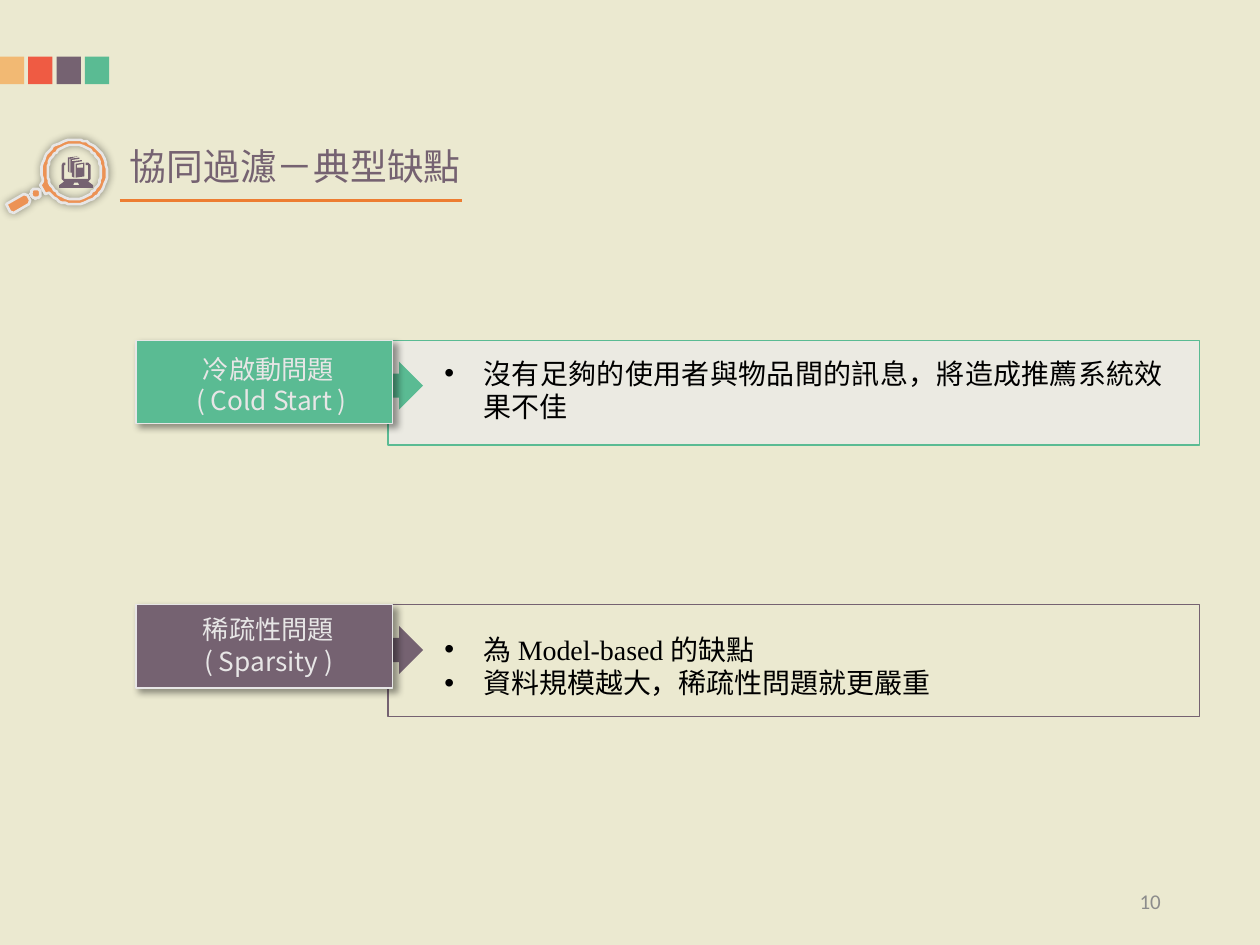
"""Build the slide on the typical drawbacks of collaborative filtering."""
import math

import lxml.etree
import pptx
import pptx.dml.color
import pptx.enum.shapes
import pptx.enum.text
import pptx.oxml.ns
import pptx.util

Cm = pptx.util.Cm
Pt = pptx.util.Pt
RGBColor = pptx.dml.color.RGBColor
SHAPE = pptx.enum.shapes.MSO_SHAPE
ALIGN = pptx.enum.text.PP_ALIGN
ANCHOR = pptx.enum.text.MSO_ANCHOR
qn = pptx.oxml.ns.qn

CREAM = RGBColor(0xEB, 0xE9, 0xD0)
PANEL_GREY = RGBColor(0xEB, 0xEA, 0xE2)
LIGHT_GREY = RGBColor(0xE7, 0xE6, 0xE6)
NUMBER_GREY = RGBColor(0x8C, 0x8C, 0x8C)
BLACK = RGBColor(0, 0, 0)
YELLOW = RGBColor(0xF2, 0xB9, 0x73)
RED = RGBColor(0xEF, 0x5B, 0x43)
PURPLE = RGBColor(0x75, 0x62, 0x71)
GREEN = RGBColor(0x5A, 0xBB, 0x93)
LENS_ORANGE = RGBColor(0xEC, 0x92, 0x55)
RULE_ORANGE = RGBColor(0xED, 0x7D, 0x31)

SERIF = "Times New Roman"
CJK = "Noto Sans CJK SC"
ICON_UNIT = Cm(0.0254)

LAPTOP = [
    [(51, 131), (52, 131), (52, 129), (50, 129), (49, 131), (49, 142), (51, 144),
     (47, 147), (47, 149), (74, 149), (74, 147), (70, 144), (72, 142), (72, 131),
     (70, 129), (68, 129), (68, 131), (70, 131), (70, 142), (51, 142)],
    [(59, 145), (62, 145), (63, 147), (58, 147)],
]
BOOKS = [
    [(54, 125), (62, 124), (55, 126), (55, 137), (54, 136)],
    [(56, 126), (63, 125), (63, 126), (57, 127), (57, 137), (56, 137)],
    [(57, 128), (65, 127), (65, 128), (59, 129), (59, 141), (57, 140)],
    [(60, 130), (67, 129), (67, 140), (60, 141)],
    [(61, 131), (66, 130), (66, 133), (61, 133)],
]


def arc(center_x, center_y, radius, start=0, end=360, steps=60):
    """Return points along a circular arc, in icon units."""
    angles = [math.radians(start + (end - start) * i / steps) for i in range(steps + 1)]
    return [(center_x + radius * math.cos(a), center_y + radius * math.sin(a)) for a in angles]


def paint(shape, fill=None, line=None, width=0.75):
    """Set the fill and outline of a shape and remove its shadow."""
    shape.shadow.inherit = False
    if fill is None:
        shape.fill.background()
    else:
        shape.fill.solid()
        shape.fill.fore_color.rgb = fill
    if line is None:
        shape.line.fill.background()
    else:
        shape.line.color.rgb = line
        shape.line.width = Pt(width)


def add_shadow(shape, blur, distance, degrees):
    """Give a painted shape a soft black outer shadow."""
    effects = shape._element.spPr.find(qn("a:effectLst"))
    shadow = lxml.etree.SubElement(
        effects, qn("a:outerShdw"), blurRad=str(Pt(blur)), dist=str(Pt(distance)),
        dir=str(degrees * 60000), algn="ctr", rotWithShape="0")
    color = lxml.etree.SubElement(shadow, qn("a:srgbClr"), val="000000")
    lxml.etree.SubElement(color, qn("a:alpha"), val="40000")


def add_block(slide, kind, left, top, width, height, **colors):
    """Add a painted preset shape."""
    shape = slide.shapes.add_shape(kind, Cm(left), Cm(top), Cm(width), Cm(height))
    paint(shape, **colors)
    return shape


def add_outline(slide, contours, **colors):
    """Add one freeform made of several closed contours."""
    builder = slide.shapes.build_freeform(*contours[0][0], scale=ICON_UNIT)
    builder.add_line_segments(contours[0][1:], close=True)
    for contour in contours[1:]:
        builder.move_to(*contour[0])
        builder.add_line_segments(contour[1:], close=True)
    shape = builder.convert_to_shape()
    paint(shape, **colors)
    return shape


def format_text(text_frame, size, color, font=SERIF, align=ALIGN.LEFT, bullets=False):
    """Format every paragraph and run of a text frame."""
    text_frame.word_wrap = True
    for paragraph in text_frame.paragraphs:
        paragraph.alignment = align
        if bullets:
            properties = paragraph._p.get_or_add_pPr()
            properties.set("marL", str(Cm(0.79)))
            properties.set("indent", str(-Cm(0.79)))
            lxml.etree.SubElement(properties, qn("a:buFont"), typeface="Arial")
            lxml.etree.SubElement(properties, qn("a:buChar"), char="•")
        for run in paragraph.runs:
            run.font.size = Pt(size)
            run.font.color.rgb = color
            run.font.name = font
            latin = run._r.rPr.find(qn("a:latin"))
            latin.addnext(latin.makeelement(qn("a:ea"), {"typeface": CJK}))


def add_text(slide, text, left, top, width, height, **formats):
    """Add a formatted text box."""
    box = slide.shapes.add_textbox(Cm(left), Cm(top), Cm(width), Cm(height))
    box.text_frame.text = text
    format_text(box.text_frame, **formats)
    return box


def add_title(slide, text):
    """Place the title and the rule below it."""
    title = slide.shapes.title
    title.left, title.top, title.width, title.height = Cm(2.62), Cm(2.9), Cm(8.99), Cm(0.89)
    frame = title.text_frame
    frame.text = text
    frame.margin_left = frame.margin_right = frame.margin_top = frame.margin_bottom = 0
    frame.vertical_anchor = ANCHOR.TOP
    format_text(frame, size=21, color=PURPLE)
    rule = slide.shapes.add_connector(
        pptx.enum.shapes.MSO_CONNECTOR.STRAIGHT, Cm(2.41), Cm(4.04), Cm(9.32), Cm(4.04))
    rule.line.color.rgb = RULE_ORANGE
    rule.line.width = Pt(1.5)
    lxml.etree.SubElement(rule._element.spPr, qn("a:effectLst"))


def add_magnifier(slide):
    """Draw the magnifier with a laptop and books in its lens."""
    lens = arc(59, 136.5, 26, 163, 500) + [(36, 154), (32, 147)]
    handle = [(5, 162), (19, 154), (22, 155), (24, 159), (23, 162), (11, 169), (8, 168)]
    magnifier = add_outline(
        slide, [handle, lens, arc(59, 136.5, 21.5), arc(28.5, 153.5, 4)],
        fill=LENS_ORANGE, line=LIGHT_GREY, width=1.5)
    add_shadow(magnifier, blur=5, distance=0, degrees=0)
    add_outline(slide, LAPTOP + BOOKS, fill=PURPLE)


def add_drawback(slide, top, color, label, label_offset, points, points_offset,
                 panel_height, panel_fill, align):
    """Add a labelled panel that lists the points of one drawback."""
    add_block(slide, SHAPE.RECTANGLE, 7.82, top, 16.36, panel_height,
              fill=panel_fill, line=color)
    add_text(slide, points, 8.71, top + points_offset, 15.01, 1.63,
             size=16, color=BLACK, align=align, bullets=True)
    add_block(slide, SHAPE.RIGHT_ARROW, 7.34, top + 0.43, 1.19, 0.97, fill=color)
    plate = add_block(slide, SHAPE.RECTANGLE, 2.74, top, 5.18, 1.68,
                      fill=color, line=LIGHT_GREY)
    add_shadow(plate, blur=4, distance=3, degrees=45)
    add_text(slide, label, 2.95, top + label_offset, 4.93, 1.55,
             size=15, color=LIGHT_GREY, font=CJK, align=ALIGN.CENTER)


def main():
    """Build and save the slide."""
    presentation = pptx.Presentation()
    presentation.slide_width, presentation.slide_height = Cm(25.4), Cm(19.05)
    slide = presentation.slides.add_slide(presentation.slide_layouts[5])
    slide.background.fill.solid()
    slide.background.fill.fore_color.rgb = CREAM

    for index, color in enumerate((YELLOW, RED, PURPLE, GREEN)):
        add_block(slide, SHAPE.RECTANGLE, index * 0.57, 1.14, 0.49, 0.56, fill=color)
    number = add_text(slide, "10", 17.93, 17.65, 5.72, 1.02, size=12,
                      color=NUMBER_GREY, font="Calibri", align=ALIGN.RIGHT)
    number.text_frame.vertical_anchor = ANCHOR.MIDDLE
    add_magnifier(slide)
    add_title(slide, "協同過濾－典型缺點")
    add_drawback(slide, 6.86, GREEN, "冷啟動問題\n ( Cold Start )", 0.13,
                 "沒有足夠的使用者與物品間的訊息，將造成推薦系統效果不佳", 0.2,
                 2.11, PANEL_GREY, ALIGN.JUSTIFY)
    add_drawback(slide, 12.19, PURPLE, "稀疏性問題 ( Sparsity )", 0.05,
                 "為 Model-based 的缺點\n資料規模越大，稀疏性問題就更嚴重", 0.43,
                 2.26, None, ALIGN.LEFT)
    presentation.save("out.pptx")


if __name__ == "__main__":
    main()
